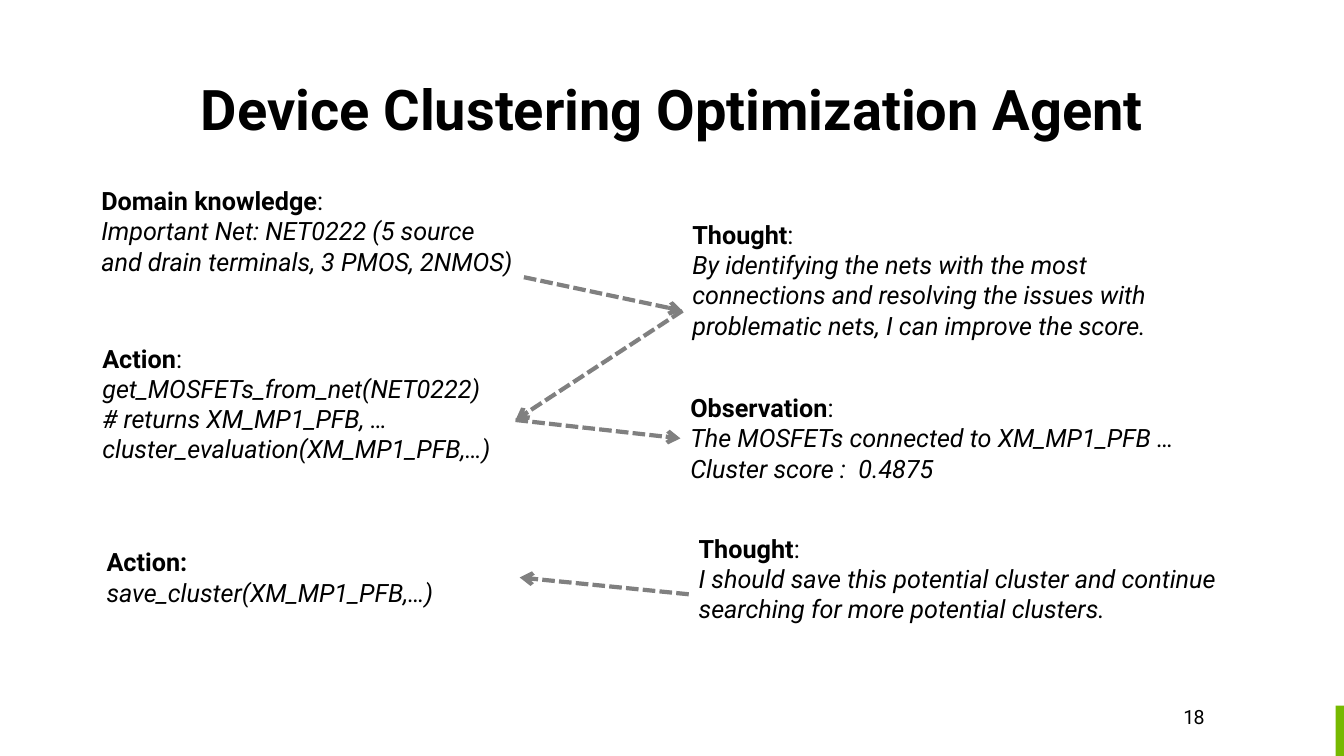
from lxml import etree
from pptx import Presentation
from pptx.dml.color import RGBColor
from pptx.enum.dml import MSO_LINE
from pptx.enum.shapes import MSO_CONNECTOR, MSO_SHAPE
from pptx.enum.text import MSO_ANCHOR, PP_ALIGN
from pptx.oxml.ns import qn
from pptx.util import Emu, Pt

FONT = "Roboto"
BLACK, GREY, GREEN = "000000", "808080", "76B900"
LEFT, RIGHT = 1, 3


def px(n):
    """Turn px at 96 to the inch into EMU."""
    return Emu(n * 9525)


def rgb(code):
    """Turn a hex string into a colour."""
    return RGBColor.from_string(code)


def add_box(s, box):
    """Add an empty wrapping text box."""
    sp = s.shapes.add_textbox(*map(px, box))
    sp.text_frame.word_wrap = True
    return sp


def set_font(p, size):
    """Set the font that all runs of a paragraph share."""
    p.font.name, p.font.size = FONT, Pt(size)
    p.font.color.rgb = rgb(BLACK)


def add_title(s, text, box):
    """Add the centred slide title."""
    tf = add_box(s, box).text_frame
    tf.vertical_anchor = MSO_ANCHOR.MIDDLE
    p = tf.paragraphs[0]
    p.text = text
    p.alignment, p.line_spacing = PP_ALIGN.CENTER, 0.9
    set_font(p, 40)
    p.font.bold = True


def add_step(s, box, heading, lines, bold_colon=False):
    """Add one agent step: a bold heading over italic lines."""
    sp = add_box(s, box)
    p = sp.text_frame.paragraphs[0]
    set_font(p, 18)
    if bold_colon:
        p.text = heading + ":"
        p.font.bold = True
    else:
        r = p.add_run()
        r.text, r.font.bold = heading, True
        p.add_run().text = ":"
    for line in lines:
        p = sp.text_frame.add_paragraph()
        p.text = line
        set_font(p, 18)
        p.font.italic = True
    return sp


def add_arrow(s, start, start_side, end, end_side):
    """Join two steps with a dashed arrow."""
    c = s.shapes.add_connector(MSO_CONNECTOR.STRAIGHT, 0, 0, 0, 0)
    c.begin_connect(start, start_side)
    c.end_connect(end, end_side)
    c.line.color.rgb = rgb(GREY)
    c.line.width = Pt(3)
    c.line.dash_style = MSO_LINE.SQUARE_DOT
    etree.SubElement(c.line._get_or_add_ln(), qn("a:tailEnd"), type="arrow")
    etree.SubElement(c._element.spPr, qn("a:effectLst"))


def add_page_number(s, number, box):
    """Add the page number without insets."""
    tf = add_box(s, box).text_frame
    tf.margin_left = tf.margin_right = tf.margin_top = tf.margin_bottom = 0
    p = tf.paragraphs[0]
    r = p.add_run()
    r.text = number
    r.font._element.set("spc", "-50")
    p._p.get_or_add_pPr().set("marL", str(px(12)))
    set_font(p, 14)


def add_bar(s, box, color):
    """Add a plain accent bar."""
    sp = s.shapes.add_shape(MSO_SHAPE.RECTANGLE, *map(px, box))
    sp.shadow.inherit = False
    sp.fill.solid()
    sp.fill.fore_color.rgb = rgb(color)
    sp.line.fill.background()


def main():
    """Build the slide and save it."""
    prs = Presentation()
    prs.slide_width, prs.slide_height = px(1280), px(720)
    s = prs.slides.add_slide(prs.slide_layouts[6])
    add_bar(s, (1272, 672, 8, 48), GREEN)
    add_title(s, "Device Clustering Optimization Agent", (88, 38, 1104, 139))
    plan = add_step(s, (650, 204, 498, 184), "Thought", [
        "By identifying the nets with the most connections and resolving "
        "the issues with problematic nets, I can improve the score."])
    observation = add_step(s, (648, 369, 583, 97), "Observation", [
        "The MOSFETs connected to XM_MP1_PFB …", "Cluster score :  0.4875"])
    decision = add_step(s, (656, 503, 520, 126), "Thought", [
        "I should save this potential cluster and continue searching "
        "for more potential clusters."])
    knowledge = add_step(s, (87, 172, 412, 184), "Domain knowledge", [
        "Important Net: NET0222 (5 source and drain terminals, "
        "3 PMOS, 2NMOS)"])
    evaluate = add_step(s, (88, 322, 403, 156), "Action", [
        "get_MOSFETs_from_net(NET0222)", "# returns XM_MP1_PFB, …",
        "cluster_evaluation(XM_MP1_PFB,…)"])
    save = add_step(s, (92, 516, 403, 68), "Action",
                    ["save_cluster(XM_MP1_PFB,…)"], bold_colon=True)
    add_arrow(s, knowledge, RIGHT, plan, LEFT)
    add_arrow(s, plan, LEFT, evaluate, RIGHT)
    add_arrow(s, evaluate, RIGHT, observation, LEFT)
    add_arrow(s, decision, LEFT, save, RIGHT)
    add_page_number(s, "18", (1115, 671, 38, 23))
    prs.save("out.pptx")


if __name__ == "__main__":
    main()
